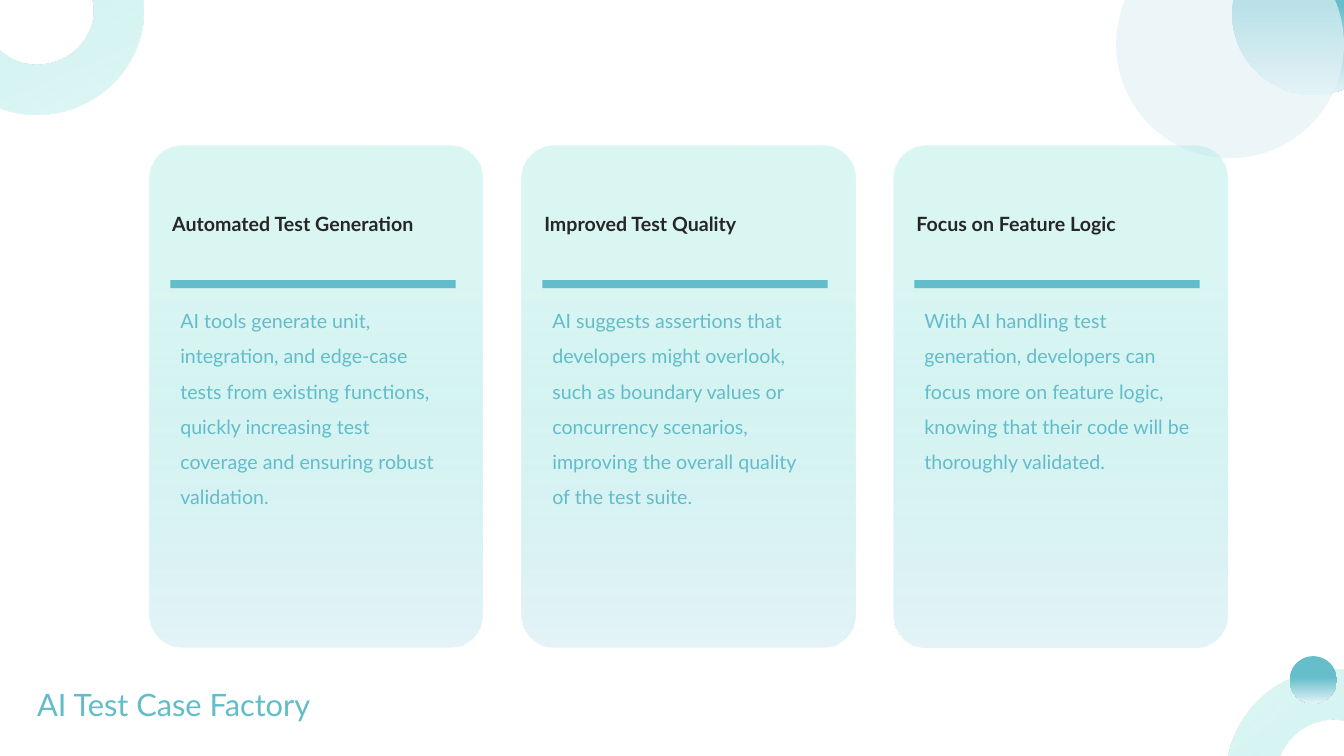
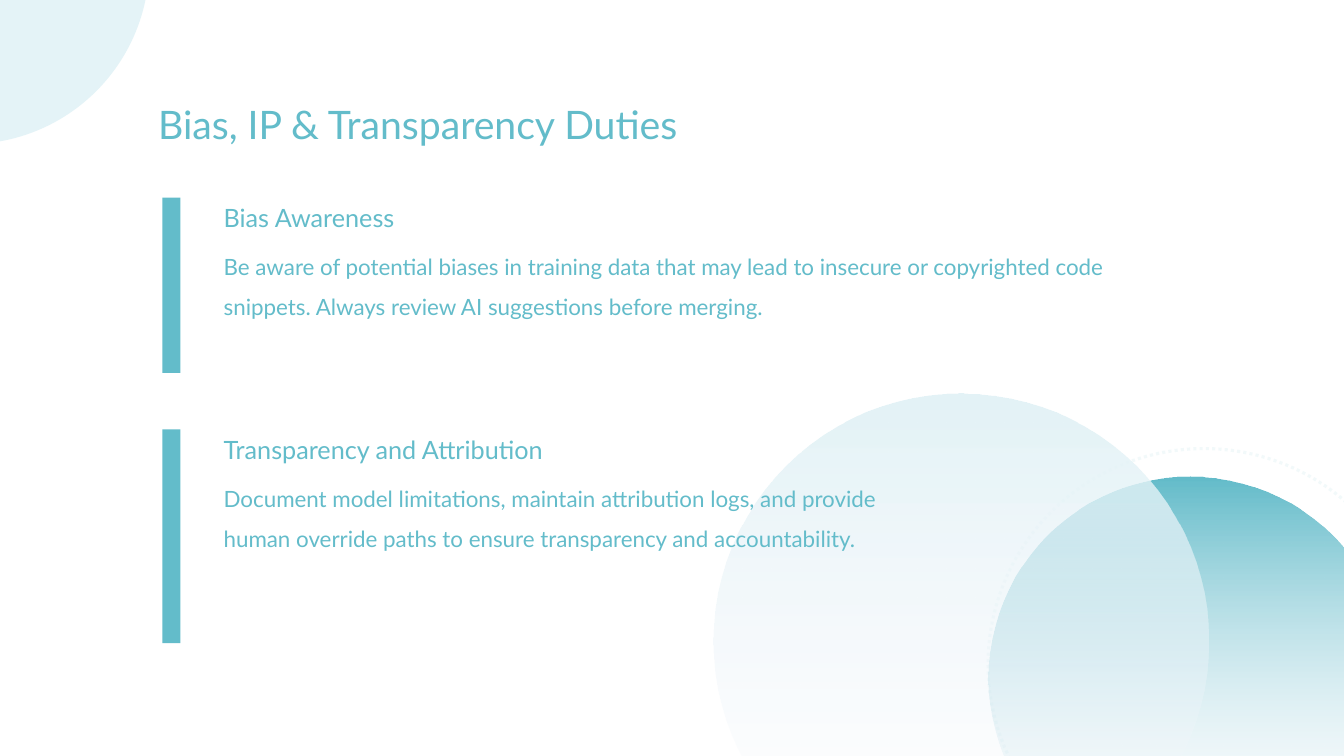
from lxml import etree
from pptx import Presentation
from pptx.dml.color import RGBColor
from pptx.enum.dml import MSO_LINE
from pptx.enum.shapes import MSO_SHAPE
from pptx.enum.text import MSO_ANCHOR
from pptx.oxml.ns import qn
from pptx.util import Inches, Pt

FONT = "Lato"
TEAL, INK, ICE = "63BCCA", "262626", "E4F3F7"
MINT_FADE = [(0, "A8EAE4", 42), (25, "A8EAE4", 42), (100, ICE, 100)]
TEAL_FADE = [(0, "66BECB", 100), (45, "66BECB", 100), (100, ICE, 100)]
TEAL_CLEAR = [(0, TEAL, 100), (100, "F6F8FD", 0)]
ICE_CLEAR = [(0, ICE, 100), (100, "F6F8FD", 0)]

FACTORY_TITLE = "AI Test Case Factory"
CARDS = [
    ("Automated Test Generation",
     "AI tools generate unit, integration, and edge-case tests from existing functions, "
     "quickly increasing test coverage and ensuring robust validation."),
    ("Improved Test Quality",
     "AI suggests assertions that developers might overlook, such as boundary values or "
     "concurrency scenarios, improving the overall quality of the test suite."),
    ("Focus on Feature Logic",
     "With AI handling test generation, developers can focus more on feature logic, "
     "knowing that their code will be thoroughly validated."),
]
CARD_LEFT, CARD_STEP = 1.48, 3.69

DUTIES_TITLE = "Bias, IP & Transparency Duties"
DUTIES = [
    (1.96, 1.74, 9.09, "Bias Awareness",
     "Be aware of potential biases in training data that may lead to insecure or "
     "copyrighted code snippets. Always review AI suggestions before merging."),
    (4.26, 2.12, 6.88, "Transparency and Attribution",
     "Document model limitations, maintain attribution logs, and provide human override "
     "paths to ensure transparency and accountability."),
]


def rgb(value):
    """Turn a hex string into a colour."""
    return RGBColor.from_string(value)


def set_alpha(fill_element, percent):
    """Make the solid colour inside a fill element translucent."""
    color = fill_element.find(".//" + qn("a:srgbClr"))
    etree.SubElement(color, qn("a:alpha"), val=str(percent * 1000))


def set_gradient(shape, stops):
    """Fill a shape with a top-to-bottom gradient."""
    gradient = etree.Element(qn("a:gradFill"), rotWithShape="1")
    stop_list = etree.SubElement(gradient, qn("a:gsLst"))
    for position, color, alpha in stops:
        stop = etree.SubElement(stop_list, qn("a:gs"), pos=str(position * 1000))
        tint = etree.SubElement(stop, qn("a:srgbClr"), val=color)
        if alpha < 100:
            etree.SubElement(tint, qn("a:alpha"), val=str(alpha * 1000))
    etree.SubElement(gradient, qn("a:lin"), ang="5400000", scaled="0")
    shape._element.spPr.find(qn("a:prstGeom")).addnext(gradient)


def add_shape(slide, kind, left, top, width, height, fill=None, alpha=100, rotation=0):
    """Add an outline-free shape filled with a colour, a gradient or nothing."""
    shape = slide.shapes.add_shape(
        kind, Inches(left), Inches(top), Inches(width), Inches(height))
    shape.shadow.inherit = False
    shape.line.fill.background()
    shape.rotation = rotation
    if fill is None:
        shape.fill.background()
    elif isinstance(fill, list):
        set_gradient(shape, fill)
    else:
        shape.fill.solid()
        shape.fill.fore_color.rgb = rgb(fill)
        if alpha < 100:
            set_alpha(shape._element.spPr.find(qn("a:solidFill")), alpha)
    return shape


def add_circle(slide, left, top, size, fill=None, alpha=100):
    """Add a circle."""
    return add_shape(slide, MSO_SHAPE.OVAL, left, top, size, size, fill, alpha)


def add_arc(slide, left, top, rotation):
    """Add a mint ring segment for a slide corner."""
    arc = add_shape(slide, MSO_SHAPE.BLOCK_ARC, left, top, 2.07, 1.99, MINT_FADE,
                    rotation=rotation)
    for index, value in enumerate((64.8, 0, 0.25)):
        arc.adjustments[index] = value


def add_text(slide, text, left, top, width, height, size=14, color=TEAL, bold=False,
             spacing=None, anchor=MSO_ANCHOR.TOP):
    """Add a wrapped text box with one paragraph."""
    box = slide.shapes.add_textbox(
        Inches(left), Inches(top), Inches(width), Inches(height))
    frame = box.text_frame
    frame.word_wrap = True
    frame.vertical_anchor = anchor
    paragraph = frame.paragraphs[0]
    paragraph.text = text
    paragraph.line_spacing = spacing
    font = paragraph.font
    font.name, font.size, font.bold = FONT, Pt(size), bold
    font.color.rgb = rgb(color)


def add_card(slide, left, heading, body):
    """Add a rounded card with heading, rule and body."""
    card = add_shape(slide, MSO_SHAPE.ROUNDED_RECTANGLE, left, 1.45, 3.31, 4.97, MINT_FADE)
    card.adjustments[0] = 0.1
    add_shape(slide, MSO_SHAPE.RECTANGLE, left + 0.21, 2.78, 2.83, 0.08, TEAL)
    add_text(slide, heading, left + 0.13, 1.89, 3.06, 0.65, color=INK, bold=True,
             anchor=MSO_ANCHOR.MIDDLE)
    add_text(slide, body, left + 0.21, 2.9, 2.83, 3.27, spacing=1.5)


def build_factory(slide):
    """Build the slide with three cards."""
    add_circle(slide, 12.22, -0.68, 1.62, TEAL_FADE)
    add_arc(slide, -0.64, -0.86, 157)
    add_text(slide, FACTORY_TITLE, 0.27, 6.55, 6.55, 0.87, size=22,
             anchor=MSO_ANCHOR.MIDDLE)
    add_circle(slide, 11.07, -0.69, 2.26, ICE, alpha=67)
    for index, (heading, body) in enumerate(CARDS):
        add_card(slide, CARD_LEFT + index * CARD_STEP, heading, body)
    add_arc(slide, 12.15, 6.66, 321)
    add_circle(slide, 12.79, 6.51, 0.47, TEAL_FADE)


def build_duties(slide):
    """Build the slide with two marked duties."""
    add_circle(slide, -2.11, -2.16, 3.59, ICE)
    add_text(slide, DUTIES_TITLE, 1.47, 0.95, 8.83, 0.5, size=28)
    ring = add_circle(slide, 9.8, 4.45, 4.28)
    ring.rotation = 264
    ring.line.color.rgb = rgb(TEAL)
    ring.line.width = Pt(2.25)
    ring.line.dash_style = MSO_LINE.ROUND_DOT
    set_alpha(ring._element.spPr.find(qn("a:ln")), 8)
    add_circle(slide, 9.8, 4.73, 4, TEAL_CLEAR)
    add_circle(slide, 7.08, 3.9, 4.91, ICE_CLEAR)
    for top, height, width, heading, body in DUTIES:
        add_shape(slide, MSO_SHAPE.RECTANGLE, 1.61, top, 0.18, height, TEAL)
        add_text(slide, heading, 2.12, top, 5.93, 0.37, size=18)
        add_text(slide, body, 2.12, top + 0.37, width, height - 0.37, size=16, spacing=1.5)


def main():
    """Build and save the presentation."""
    presentation = Presentation()
    presentation.slide_width = Inches(13.33)
    presentation.slide_height = Inches(7.5)
    for build in (build_factory, build_duties):
        build(presentation.slides.add_slide(presentation.slide_layouts[6]))
    presentation.save("out.pptx")


if __name__ == "__main__":
    main()
